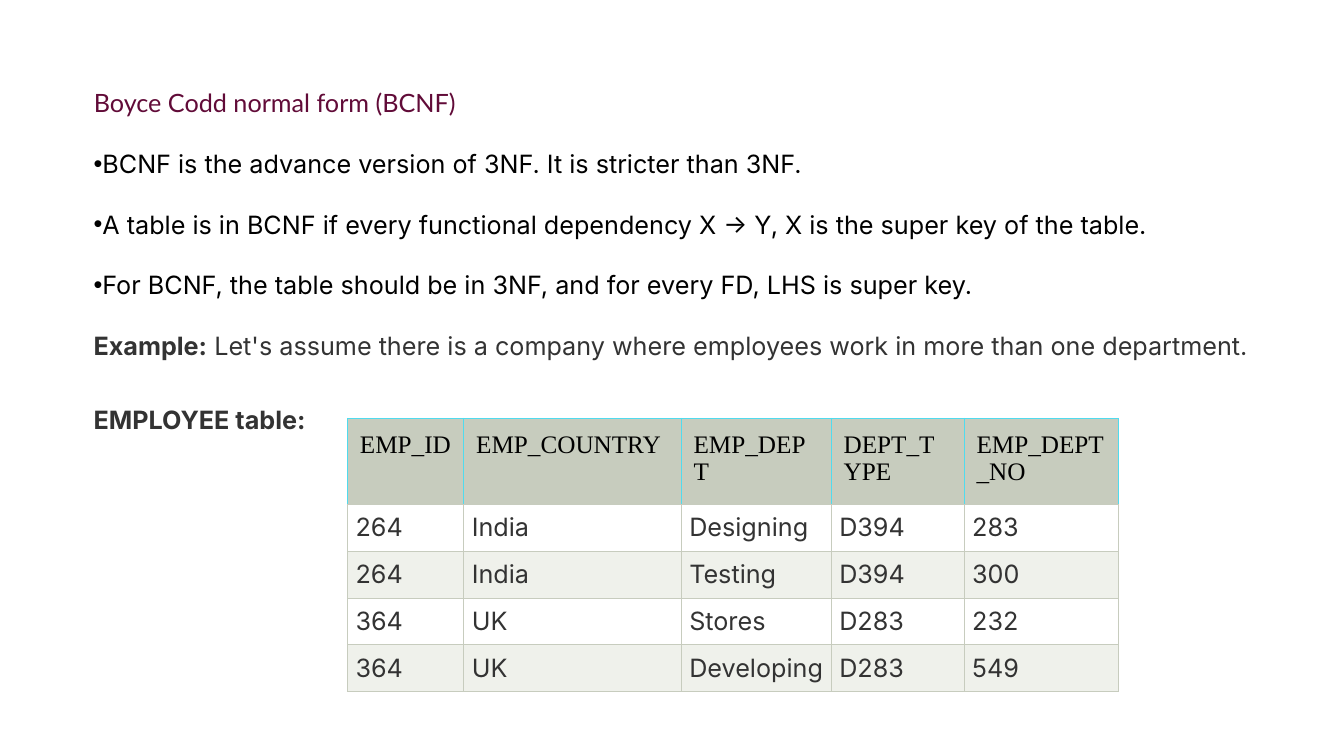
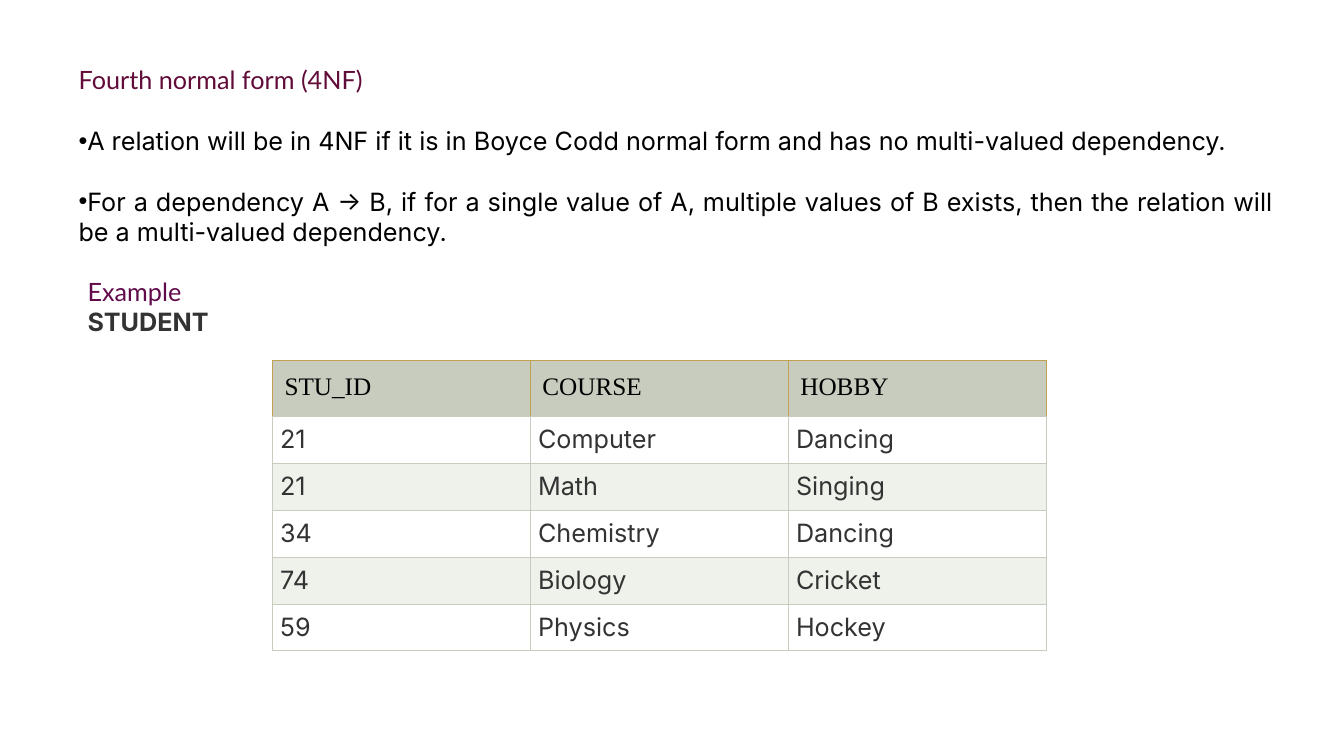
from dataclasses import dataclass

from lxml import etree
from pptx import Presentation
from pptx.dml.color import RGBColor
from pptx.enum.text import MSO_ANCHOR, MSO_AUTO_SIZE, PP_ALIGN as Align
from pptx.oxml.ns import qn
from pptx.util import Cm, Pt

# Shared look
HEADING, EXAMPLE, BLACK, GREY = "610B38", "610B4B", "000000", "333333"
SAGE, PALE, WHITE = "C7CCBE", "EFF1EB", "FFFFFF"
SANS, HEAD_FONT, SERIF = "Inter", "Lato", "Times New Roman"
GAP = 21.8  # points between body paragraphs
ROW_H = 1.18
HEAD_INSET, CELL_INSET = 0.31, 0.2
TEXT_W, LABEL_W = 30.61, 16.94


@dataclass(frozen=True)
class Run:
    text: str
    color: str = BLACK
    font: str = SANS
    bold: bool = False


@dataclass(frozen=True)
class Para:
    runs: tuple[Run, ...]
    bullet: bool = False


@dataclass(frozen=True)
class TableData:
    left: float
    top: float
    widths: tuple[float, ...]
    head_h: float
    edge: str
    rows: tuple[tuple[str, ...], ...]


@dataclass(frozen=True)
class Topic:
    title: str
    left: float
    top: float
    body: tuple[Para, ...]
    label_left: float
    label_top: float
    label: tuple[Para, ...]
    table: TableData


def rgb(value: str) -> RGBColor:
    return RGBColor.from_string(value)


def add_run(p, text: str, *, color=BLACK, font=SANS, bold=False, size=18) -> None:
    r = p.add_run()
    r.text = text
    r.font.size, r.font.name, r.font.bold = Pt(size), font, bold
    r.font.color.rgb = rgb(color)


def add_bullet(p) -> None:
    pPr = p._p.get_or_add_pPr()
    pPr.set("marL", "0")
    pPr.set("indent", "0")
    etree.SubElement(pPr, qn("a:buFont")).set("typeface", "Arial")
    etree.SubElement(pPr, qn("a:buChar")).set("char", "•")


def fill_frame(tf, paras: tuple[Para, ...], gap: float = 0) -> None:
    tf.word_wrap = True
    tf.auto_size = MSO_AUTO_SIZE.NONE
    tf.vertical_anchor = MSO_ANCHOR.TOP
    for i, para in enumerate(paras):
        p = tf.add_paragraph() if i else tf.paragraphs[0]
        p.alignment = Align.JUSTIFY
        p.space_before = Pt(gap if i else 0)
        if para.bullet:
            add_bullet(p)
        for run in para.runs:
            add_run(p, run.text, color=run.color, font=run.font, bold=run.bold)


def set_borders(cell, colors: dict[str, str]) -> None:
    tcPr = cell._tc.get_or_add_tcPr()
    for i, side in enumerate("LRTB"):
        ln = etree.Element(qn(f"a:ln{side}"), w=str(Pt(0.75)))
        solid = etree.SubElement(ln, qn("a:solidFill"))
        etree.SubElement(solid, qn("a:srgbClr")).set("val", colors[side])
        tcPr.insert(i, ln)


def format_cell(cell, text: str, row: int, edge: str) -> None:
    head = row == 0
    inset = Cm(HEAD_INSET if head else CELL_INSET)
    cell.margin_left = cell.margin_right = inset
    cell.margin_top = cell.margin_bottom = inset
    cell.fill.solid()
    cell.fill.fore_color.rgb = rgb(SAGE if head else WHITE if row % 2 else PALE)
    p = cell.text_frame.paragraphs[0]
    p.alignment = Align.LEFT if head else Align.JUSTIFY
    add_run(p, text, font=SERIF if head else SANS, color=BLACK if head else GREY)
    side_color = edge if head else SAGE
    set_borders(cell, {"L": side_color, "R": side_color, "T": side_color, "B": SAGE})


def add_data_table(s, data: TableData) -> None:
    height = data.head_h + ROW_H * (len(data.rows) - 1)
    table = s.shapes.add_table(
        len(data.rows), len(data.widths), Cm(data.left), Cm(data.top),
        Cm(sum(data.widths)), Cm(height),
    ).table
    table.first_row = table.horz_banding = False
    for col, width in zip(table.columns, data.widths):
        col.width = Cm(width)
    for i, values in enumerate(data.rows):
        table.rows[i].height = Cm(ROW_H if i else data.head_h)
        for j, text in enumerate(values):
            format_cell(table.cell(i, j), text, i, data.edge)


def add_topic(prs, topic: Topic) -> None:
    s = prs.slides.add_slide(prs.slide_layouts[5])
    # Title
    sp = s.shapes.title
    sp.left, sp.top = Cm(topic.left), Cm(topic.top)
    sp.width, sp.height = Cm(TEXT_W), Cm(1.02)
    fill_frame(sp.text_frame, (Para((Run(topic.title, HEADING, HEAD_FONT),)),))
    # Body text, two lines below the title
    line_count = 2 * len(topic.body)
    box = s.shapes.add_textbox(
        Cm(topic.left), Cm(topic.top + 1.53), Cm(TEXT_W), Cm(0.77 * line_count))
    fill_frame(box.text_frame, topic.body, GAP)
    # Table label and table
    box = s.shapes.add_textbox(
        Cm(topic.label_left), Cm(topic.label_top), Cm(LABEL_W),
        Cm(0.25 + 0.77 * len(topic.label)))
    fill_frame(box.text_frame, topic.label)
    add_data_table(s, topic.table)


def bullet(text: str) -> Para:
    return Para((Run(text),), bullet=True)


TOPICS = (
    Topic(
        "Boyce Codd normal form (BCNF)", 2.11, 2.08,
        (
            bullet("BCNF is the advance version of 3NF. It is stricter than 3NF."),
            bullet("A table is in BCNF if every functional dependency X → Y, "
                   "X is the super key of the table."),
            bullet("For BCNF, the table should be in 3NF, and for every FD, "
                   "LHS is super key."),
            Para((
                Run("Example:", GREY, bold=True),
                Run(" Let's assume there is a company where employees work in "
                    "more than one department.", GREY),
            )),
        ),
        2.11, 10.06,
        (Para((Run("EMPLOYEE table:", GREY, bold=True),)),),
        TableData(
            8.76, 10.54, (2.93, 5.48, 3.78, 3.35, 3.89), 2.17, "50DBEE",
            (
                ("EMP_ID", "EMP_COUNTRY", "EMP_DEPT", "DEPT_TYPE", "EMP_DEPT_NO"),
                ("264", "India", "Designing", "D394", "283"),
                ("264", "India", "Testing", "D394", "300"),
                ("364", "UK", "Stores", "D283", "232"),
                ("364", "UK", "Developing", "D283", "549"),
            ),
        ),
    ),
    Topic(
        "Fourth normal form (4NF)", 1.73, 1.5,
        (
            bullet("A relation will be in 4NF if it is in Boyce Codd normal form "
                   "and has no multi-valued dependency."),
            bullet("For a dependency A → B, if for a single value of A, multiple "
                   "values of B exists, then the relation will be a multi-valued "
                   "dependency."),
        ),
        1.96, 6.83,
        (
            Para((Run("Example", EXAMPLE, HEAD_FONT),)),
            Para((Run("STUDENT", GREY, bold=True),)),
        ),
        TableData(
            6.86, 9.09, (6.5,) * 3, 1.41, "C0A150",
            (
                ("STU_ID", "COURSE", "HOBBY"),
                ("21", "Computer", "Dancing"),
                ("21", "Math", "Singing"),
                ("34", "Chemistry", "Dancing"),
                ("74", "Biology", "Cricket"),
                ("59", "Physics", "Hockey"),
            ),
        ),
    ),
)


def main() -> None:
    prs = Presentation()
    prs.slide_width, prs.slide_height = Cm(33.87), Cm(19.05)
    for topic in TOPICS:
        add_topic(prs, topic)
    prs.save("out.pptx")


if __name__ == "__main__":
    main()
